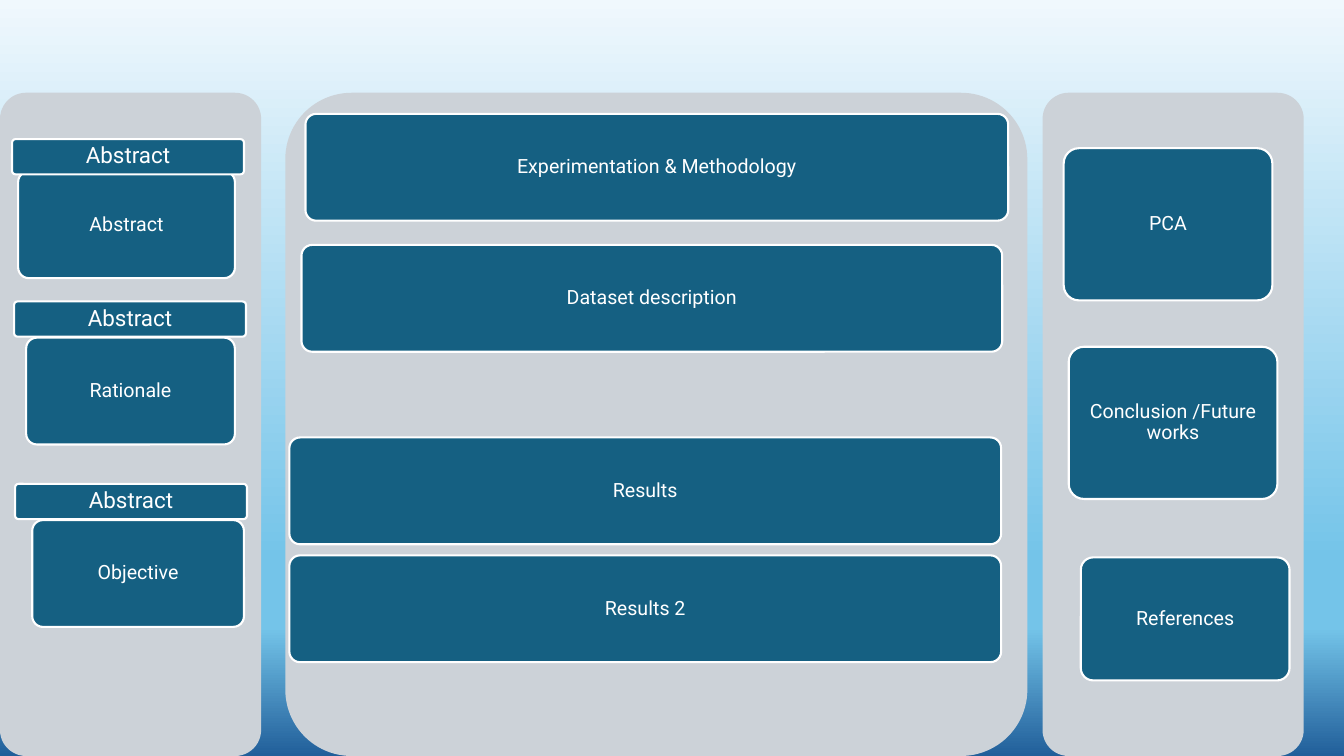
from dataclasses import dataclass

from lxml import etree
from pptx import Presentation
from pptx.dml.color import RGBColor
from pptx.enum.shapes import MSO_SHAPE
from pptx.enum.text import MSO_ANCHOR, PP_ALIGN
from pptx.oxml.ns import qn
from pptx.util import Inches, Pt

ROUNDED = MSO_SHAPE.ROUNDED_RECTANGLE
MIDDLE = MSO_ANCHOR.MIDDLE
CENTER = PP_ALIGN.CENTER


@dataclass(frozen=True)
class Theme:
    panel: RGBColor = RGBColor.from_string("CCD2D8")
    card: RGBColor = RGBColor.from_string("156082")
    white: RGBColor = RGBColor.from_string("FFFFFF")
    backdrop: tuple = ((0, "F0F8FD"), (74, "74C4E9"), (83, "74C4E9"), (100, "215F9A"))
    font: str = "Roboto"
    card_size: int = 14
    heading_size: int = 16
    outline: float = 1.5


theme = Theme()
PANEL_TOP, PANEL_HEIGHT = 0.92, 6.58
CARD_HEIGHT, HEADING_HEIGHT = 1.06, 0.35

deck = Presentation()
deck.slide_width = Inches(13.33)
deck.slide_height = Inches(7.5)
page = deck.slides.add_slide(deck.slide_layouts[6])

backdrop = page.background.fill
backdrop.gradient()
backdrop.gradient_angle = 270
stops = next(page.element.iter(qn("a:gsLst")))
for stop in list(stops):
    stops.remove(stop)
for percent, color in theme.backdrop:
    stop = etree.SubElement(stops, qn("a:gs"), pos=str(percent * 1000))
    etree.SubElement(stop, qn("a:srgbClr"), val=color)


def add_block(left, top, width, height, color):
    box = page.shapes.add_shape(
        ROUNDED, Inches(left), Inches(top), Inches(width), Inches(height)
    )
    box.adjustments[0] = 0.1
    box.shadow.inherit = False
    box.fill.solid()
    box.fill.fore_color.rgb = color
    box.line.fill.background()
    return box


def add_card(words, left, top, width, height, size):
    box = add_block(left, top, width, height, theme.card)
    box.line.color.rgb = theme.white
    box.line.width = Pt(theme.outline)
    frame = box.text_frame
    frame.word_wrap = True
    frame.vertical_anchor = MIDDLE
    frame.margin_left = frame.margin_right = Inches(0.07)
    frame.margin_top = frame.margin_bottom = Inches(0.04)
    para = frame.paragraphs[0]
    para.alignment = CENTER
    para.line_spacing = 0.9
    span = para.add_run()
    span.text = words
    span.font.name = theme.font
    span.font.size = Pt(size)
    span.font.color.rgb = theme.white


columns = [
    (0, 2.59, [
        ("Abstract", 0.18, 1.7, 2.15, CARD_HEIGHT),
        ("Rationale", 0.26, 3.35, 2.07, CARD_HEIGHT),
        ("Objective", 0.32, 5.16, 2.1, CARD_HEIGHT),
    ]),
    (2.83, 7.36, [
        ("Experimentation & Methodology", 3.03, 1.13, 6.97, CARD_HEIGHT),
        ("Dataset description", 2.99, 2.43, 6.95, CARD_HEIGHT),
        ("Results", 2.87, 4.34, 7.06, CARD_HEIGHT),
        ("Results 2", 2.87, 5.51, 7.06, CARD_HEIGHT),
    ]),
    (10.34, 2.59, [
        ("PCA", 10.55, 1.47, 2.07, 1.51),
        ("Conclusion /Future works", 10.6, 3.44, 2.07, 1.51),
        ("References", 10.72, 5.53, 2.07, 1.22),
    ]),
]
for panel_left, panel_width, cards in columns:
    add_block(panel_left, PANEL_TOP, panel_width, PANEL_HEIGHT, theme.panel)
    for words, left, top, width, height in cards:
        add_card(words, left, top, width, height, theme.card_size)

for left, top in ((0.12, 1.38), (0.14, 2.99), (0.15, 4.8)):
    add_card("Abstract", left, top, 2.3, HEADING_HEIGHT, theme.heading_size)

deck.save("out.pptx")
